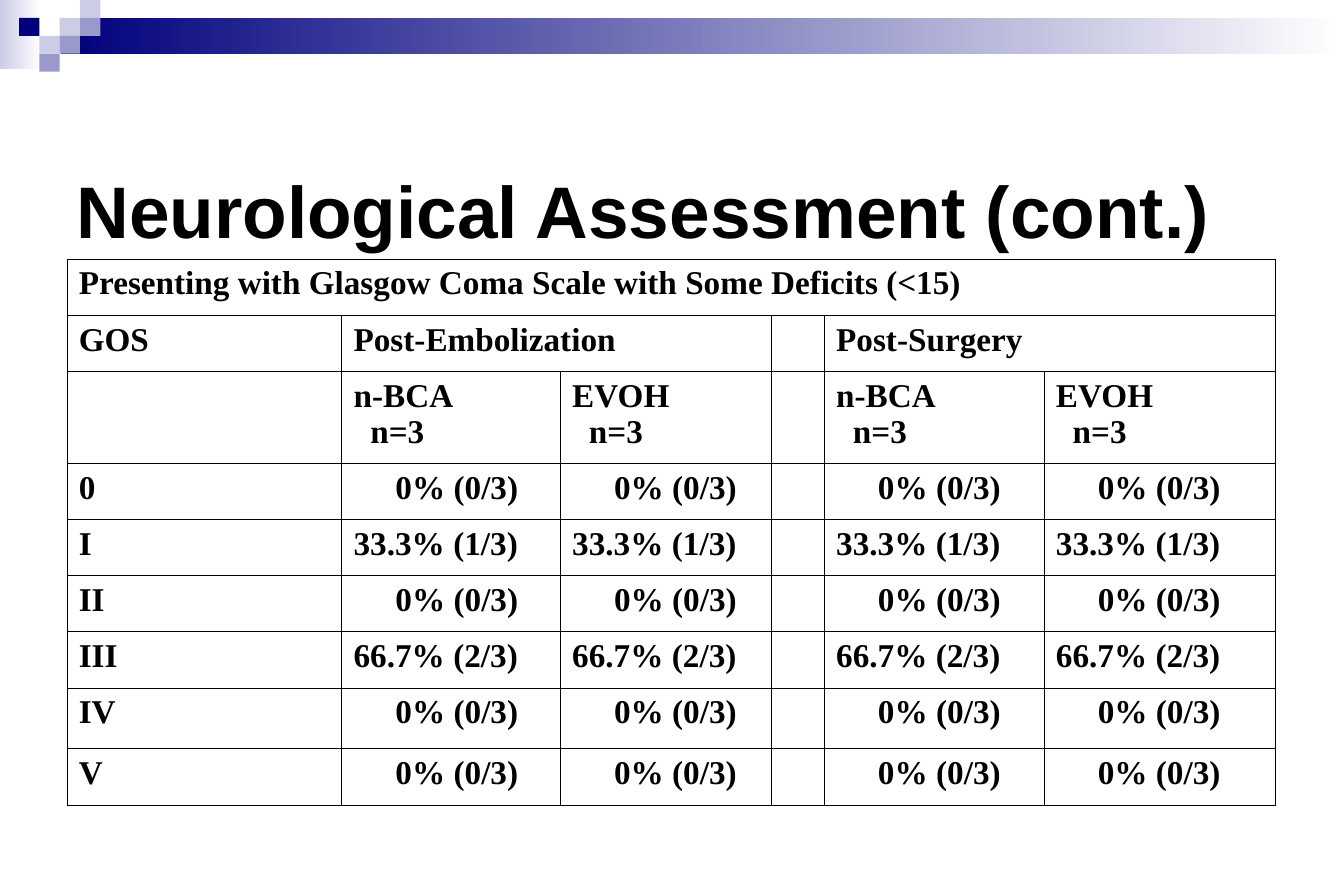
"""Build the slide with the Glasgow outcome table for patients with deficits."""
from pptx import Presentation
from pptx.dml.color import RGBColor as RGB
from pptx.enum.shapes import MSO_SHAPE as SHAPE
from pptx.enum.text import MSO_ANCHOR as ANCHOR, MSO_AUTO_SIZE as AUTO, PP_ALIGN as ALIGN
from pptx.oxml import parse_xml
from pptx.oxml.ns import nsdecls
from pptx.util import Pt

PX = 9144
THEME = {
    "ink": "000000", "white": "FFFFFF",
    "navy": "00007D", "mid": "9999CC", "pale": "CCCCE6",
    "title": {"name": "Arial", "size": Pt(44), "bold": True},
    "cell": {"name": "Times New Roman", "size": Pt(20), "bold": True},
    "border": Pt(0.45),
}


def set_font(font, fmt):
    for name, value in fmt.items():
        setattr(font, name, value)
    font.color.rgb = RGB.from_string(THEME["ink"])


def add_box(left, top, width, height, *colors):
    sp = s.shapes.add_shape(SHAPE.RECTANGLE, left * PX, top * PX, width * PX, height * PX)
    sp.shadow.inherit = False
    sp.line.fill.background()
    if len(colors) == 1:
        sp.fill.solid()
        sp.fill.fore_color.rgb = RGB.from_string(THEME[colors[0]])
        return
    sp.fill.gradient()
    sp.fill.gradient_angle = 180
    for stop, color, position in zip(sp.fill.gradient_stops, colors, (0, 1)):
        stop.color.rgb = RGB.from_string(THEME[color])
        stop.position = position


prs = Presentation()
prs.slide_width, prs.slide_height = 1125 * PX, 750 * PX
s = prs.slides.add_slide(prs.slide_layouts[5])

add_box(0, 0, 35, 58, "white", "pale")
add_box(51, 15, 1074, 30, "white", "navy")
tiles = [(2, 1, "pale"), (3, 0, "pale"), (3, 1, "mid"), (1, 2, "pale"),
         (0, 1, "navy"), (2, 2, "mid"), (1, 3, "mid")]
for col, row, color in tiles:
    add_box(16 + 17 * col, 15 * row, 17, 15, color)

zero, one, two = "0% (0/3)", "33.3% (1/3)", "66.7% (2/3)"
agents = ["n-BCA\nn=3", "EVOH\nn=3"]
rows = [
    ["Presenting with Glasgow Coma Scale with Some Deficits (<15)"] + [""] * 5,
    ["GOS", "Post-Embolization", "", "", "Post-Surgery", ""],
    ["", *agents, "", *agents],
]
outcomes = {"0": zero, "I": one, "II": zero, "III": two, "IV": zero, "V": zero}
for grade, rate in outcomes.items():
    rows.append([grade, rate, rate, "", rate, rate])

indents = {"n=3": 14, zero: 35}
widths = [230, 183, 177, 44, 184, 194]
heights = [47, 47, 77, 47, 47, 47, 47, 51, 47]
frame = s.shapes.add_table(len(rows), len(widths), 56 * PX, 217 * PX,
                           sum(widths) * PX, sum(heights) * PX)
table = frame.table
table.first_row = table.horz_banding = False
for column, width in zip(table.columns, widths):
    column.width = width * PX
for row, height in zip(table.rows, heights):
    row.height = height * PX

for r, texts in enumerate(rows):
    for c, text in enumerate(texts):
        cell = table.cell(r, c)
        tcPr = cell._tc.get_or_add_tcPr()
        for side in "LRTB":
            tcPr.append(parse_xml(
                f'<a:ln{side} {nsdecls("a")} w="{THEME["border"]}"><a:solidFill>'
                f'<a:srgbClr val="{THEME["ink"]}"/></a:solidFill></a:ln{side}>'))
        cell.fill.background()
        cell.text = text
        for p in cell.text_frame.paragraphs:
            if p.text in indents:
                p._p.get_or_add_pPr().set("marL", str(indents[p.text] * PX))
            for run in p.runs:
                set_font(run.font, THEME["cell"])

for row, first, last in [(0, 0, 5), (1, 1, 2), (1, 4, 5)]:
    table.cell(row, first).merge(table.cell(row, last))

title = s.shapes.title
s.shapes._spTree.append(title._element)
for name, value in zip(("left", "top", "width", "height"), (54, 100, 1012, 150)):
    setattr(title, name, value * PX)
tf = title.text_frame
tf.text = "Neurological Assessment (cont.)"
for name, value in {"auto_size": AUTO.NONE, "word_wrap": True,
                    "vertical_anchor": ANCHOR.MIDDLE}.items():
    setattr(tf, name, value)
p = tf.paragraphs[0]
p.alignment = ALIGN.LEFT
set_font(p.runs[0].font, THEME["title"])

prs.save("out.pptx")
